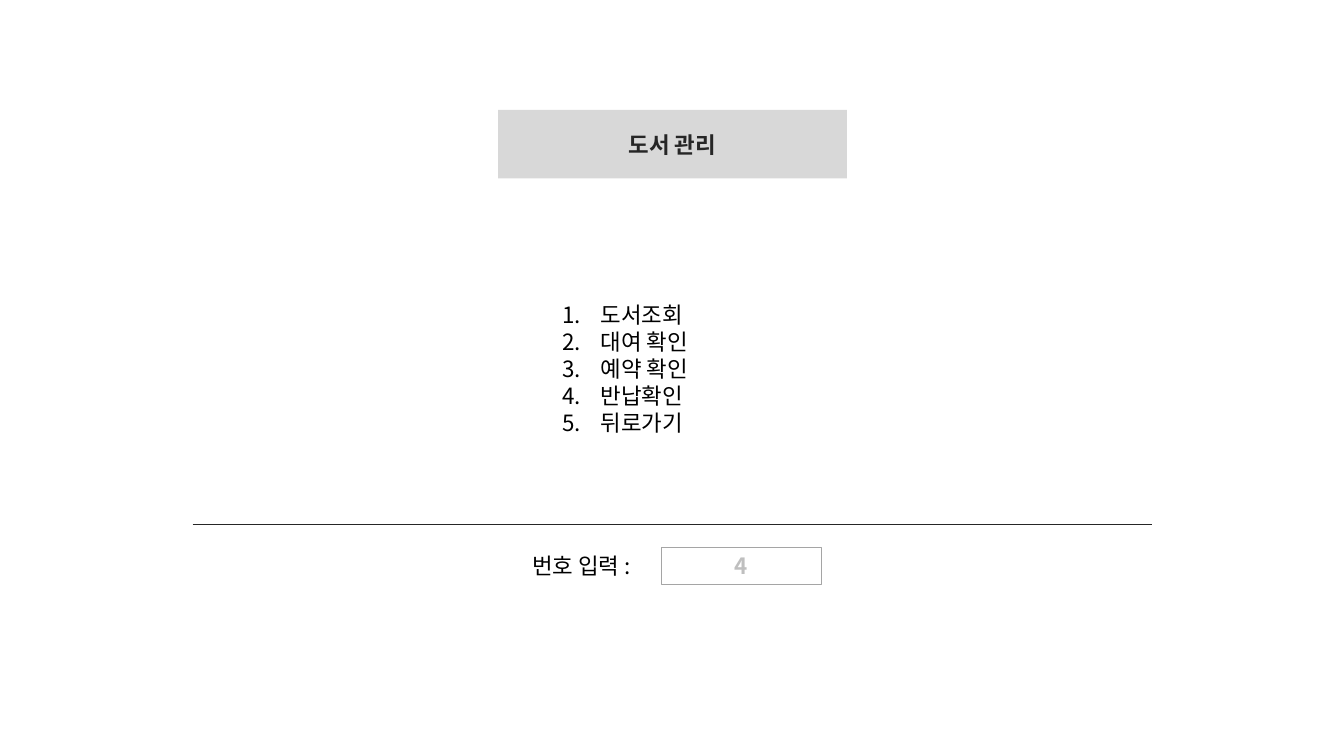
from lxml.etree import SubElement
from pptx import Presentation
from pptx.dml.color import RGBColor
from pptx.enum.shapes import MSO_CONNECTOR as Connector, MSO_SHAPE as Shape
from pptx.enum.text import MSO_ANCHOR as Anchor, PP_ALIGN as Align
from pptx.oxml.ns import qn
from pptx.util import Inches, Pt

BLACK = RGBColor(0x00, 0x00, 0x00)
WHITE = RGBColor(0xFF, 0xFF, 0xFF)
CHARCOAL = RGBColor(0x26, 0x26, 0x26)
MID_GRAY = RGBColor(0xA5, 0xA5, 0xA5)
HINT_GRAY = RGBColor(0xBF, 0xBF, 0xBF)
LIGHT_GRAY = RGBColor(0xD8, 0xD8, 0xD8)


class Screen:
    font_name = "Noto Sans CJK KR"
    font_format = {"name": font_name, "size": Pt(16)}
    number_indent = Inches(0.38)

    def __init__(self, slide):
        self.slide = slide
        self.shapes = slide.shapes

    def fill_text(self, shape, lines, color, bold=False, align=Align.LEFT, numbered=False):
        frame = shape.text_frame
        frame.word_wrap = True
        frame.text = "\n".join(lines)
        for paragraph in frame.paragraphs:
            paragraph.alignment = align
            if numbered:
                self.number(paragraph)
            font = paragraph.runs[0].font
            for attribute, value in {**self.font_format, "bold": bold}.items():
                setattr(font, attribute, value)
            font.color.rgb = color
            properties = paragraph.runs[0]._r.get_or_add_rPr()
            SubElement(properties, qn("a:ea"), typeface=self.font_name)

    def number(self, paragraph):
        properties = paragraph._p.get_or_add_pPr()
        properties.set("marL", str(self.number_indent))
        properties.set("indent", str(-self.number_indent))
        SubElement(properties, qn("a:buFont"), typeface=self.font_name)
        SubElement(properties, qn("a:buAutoNum"), type="arabicPeriod")

    def label(self, bounds, lines, shapes=None, **style):
        label = (shapes or self.shapes).add_textbox(*map(Inches, bounds))
        self.fill_text(label, lines, BLACK, **style)

    def box(self, bounds, text, color, fill, outline=None, shapes=None):
        box = (shapes or self.shapes).add_shape(Shape.RECTANGLE, *map(Inches, bounds))
        box.shadow.inherit = False
        box.fill.solid()
        box.fill.fore_color.rgb = fill
        if outline is None:
            box.line.fill.background()
        else:
            box.line.color.rgb = outline
            box.line.width = Pt(1)
        box.text_frame.vertical_anchor = Anchor.MIDDLE
        self.fill_text(box, [text], color, bold=True, align=Align.CENTER)

    def rule(self, left, right, top):
        rule = self.shapes.add_connector(
            Connector.STRAIGHT, *map(Inches, (left, top, right, top)))
        rule.line.color.rgb = CHARCOAL
        rule.line.width = Pt(0.75)
        SubElement(rule._element.spPr, qn("a:effectLst"))


deck = Presentation()
deck.slide_width = Inches(13.33)
deck.slide_height = Inches(7.5)
screen = Screen(deck.slides.add_slide(deck.slide_layouts[6]))

menu = ["도서조회", "대여 확인", "예약 확인", "반납확인", "뒤로가기"]
screen.rule(1.91, 11.43, 5.2)
screen.label((5.48, 2.94, 1.56, 1.45), menu, numbered=True)

# the group starts empty, so its length must not decide the parent
number_entry = screen.shapes.add_group_shape().shapes
screen.label((5.18, 5.43, 1.39, 0.37), ["번호 입력 : "], shapes=number_entry)
screen.box((6.56, 5.43, 1.59, 0.37), "4", HINT_GRAY, WHITE, MID_GRAY, number_entry)

screen.box((4.94, 1.09, 3.46, 0.68), "도서 관리", CHARCOAL, LIGHT_GRAY)

deck.save("out.pptx")
